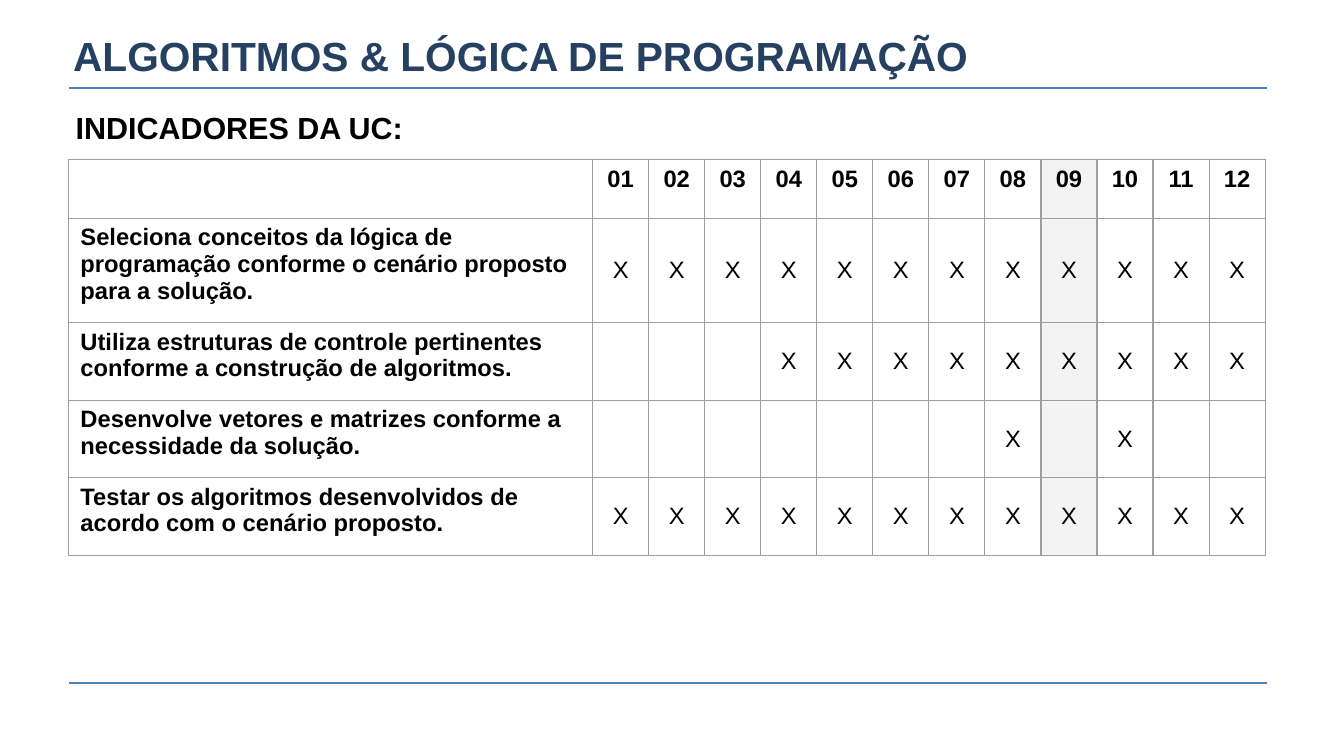
from lxml import etree
from pptx import Presentation
from pptx import util as u
from pptx.dml.color import RGBColor
from pptx.enum import shapes, text
from pptx.oxml import parse_xml
from pptx.oxml.ns import nsdecls, qn

WIDE, HIGH = 11.02, 6.2
HUES = {"title": "254061", "text": "000000", "rule": "4F81BD",
        "grid": "9E9E9E", "shade": "F3F3F3"}
FONT = "Arial"
WEEKS = 12
SHADED = 9
HEAD, BODY = 7.74, 10.25
# Each skill: wording, weeks marked, row height
SKILLS = [
    ("Seleciona conceitos da lógica de programação conforme o cenário "
     "proposto para a solução.", range(1, 13), 13.82),
    ("Utiliza estruturas de controle pertinentes conforme a construção "
     "de algoritmos.", range(4, 13), BODY),
    ("Desenvolve vetores e matrizes conforme a necessidade da solução.",
     (8, 10), BODY),
    ("Testar os algoritmos desenvolvidos de acordo com o cenário proposto.",
     range(1, 13), BODY),
]


def x(share):
    """Percent of the slide's width."""
    return u.Inches(WIDE * share / 100)


def y(share):
    """Percent of the slide's height."""
    return u.Inches(HIGH * share / 100)


def hue(name):
    return RGBColor.from_string(HUES[name])


def add_run(para, words, size, bold=True, tint="text"):
    run = para.add_run()
    run.text = words
    font = run.font
    font.name, font.size, font.bold = FONT, u.Pt(size), bold
    font.color.rgb = hue(tint)


def add_rule(slide, top):
    rule = slide.shapes.add_connector(
        shapes.MSO_CONNECTOR.STRAIGHT, x(5.17), y(top), x(94.28), y(top))
    rule.line.color.rgb = hue("rule")
    rule.line.width = u.Pt(1)
    etree.SubElement(rule._element.spPr, qn("a:effectLst"))


def set_holder(holder, box, inset, anchor):
    """Place a placeholder and return its first paragraph, left aligned."""
    left, top, width, height = box
    holder.left, holder.top = x(left), y(top)
    holder.width, holder.height = x(width), y(height)
    frame = holder.text_frame
    frame.word_wrap = True
    frame.auto_size = text.MSO_AUTO_SIZE.NONE
    frame.vertical_anchor = anchor
    frame.margin_left = frame.margin_right = u.Inches(inset)
    frame.margin_top = frame.margin_bottom = u.Inches(inset)
    para = frame.paragraphs[0]
    para.alignment = text.PP_ALIGN.LEFT
    para.space_before = u.Pt(0)
    return para


def drop_bullet(para):
    props = para._p.get_or_add_pPr()
    props.set("marL", "0")
    props.set("indent", "0")
    etree.SubElement(props, qn("a:buNone"))


def add_edges(cell):
    props = cell._tc.get_or_add_tcPr()
    for side in "LRTB":
        props.append(parse_xml(
            f'<a:ln{side} {nsdecls("a")} w="{u.Pt(0.75)}"><a:solidFill>'
            f'<a:srgbClr val="{HUES["grid"]}"/></a:solidFill></a:ln{side}>'))


def fill_cell(cell, words, bold, centred, middle, shaded):
    add_edges(cell)
    if shaded:
        cell.fill.solid()
        cell.fill.fore_color.rgb = hue("shade")
    else:
        cell.fill.background()
    if not words:
        return
    if middle:
        cell.vertical_anchor = text.MSO_ANCHOR.MIDDLE
    para = cell.text_frame.paragraphs[0]
    if centred:
        para.alignment = text.PP_ALIGN.CENTER
    add_run(para, words, 14, bold)


def add_plan(slide):
    """Table of skills against weeks."""
    names = [""] + [f"{week:02}" for week in range(1, WEEKS + 1)]
    rows = [names] + [
        [skill] + ["X" if week in marks else "" for week in range(1, WEEKS + 1)]
        for skill, marks, _ in SKILLS]
    tall = [HEAD] + [size for *_, size in SKILLS]
    wide = [39.02] + [4.17] * WEEKS
    table = slide.shapes.add_table(
        len(rows), len(wide), x(5.08), y(21.13), x(sum(wide)), y(sum(tall))).table
    table.first_row = table.horz_banding = False
    for col, share in zip(table.columns, wide):
        col.width = x(share)
    for r, row in enumerate(rows):
        table.rows[r].height = y(tall[r])
        for c, words in enumerate(row):
            mark = r > 0 and c > 0
            fill_cell(table.cell(r, c), words, not mark, c > 0, mark, c == SHADED)


def main():
    deck = Presentation()
    deck.slide_width, deck.slide_height = u.Inches(WIDE), u.Inches(HIGH)
    slide = deck.slides.add_slide(deck.slide_layouts[1])
    title, body = slide.placeholders
    para = set_holder(title, (5.44, 3.55, 89.11, 7.58), 0, text.MSO_ANCHOR.MIDDLE)
    add_run(para, "ALGORITMOS & LÓGICA DE PROGRAMAÇÃO", 24, tint="title")
    para = set_holder(body, (4.72, 12.1, 89.93, 77.74), 0.1, text.MSO_ANCHOR.TOP)
    para.line_spacing = 1.15
    para.space_after = u.Pt(10)
    drop_bullet(para)
    add_run(para, "INDICADORES DA UC:", 18)
    for top in (11.61, 90.32):
        add_rule(slide, top)
    add_plan(slide)
    deck.save("out.pptx")


if __name__ == "__main__":
    main()
